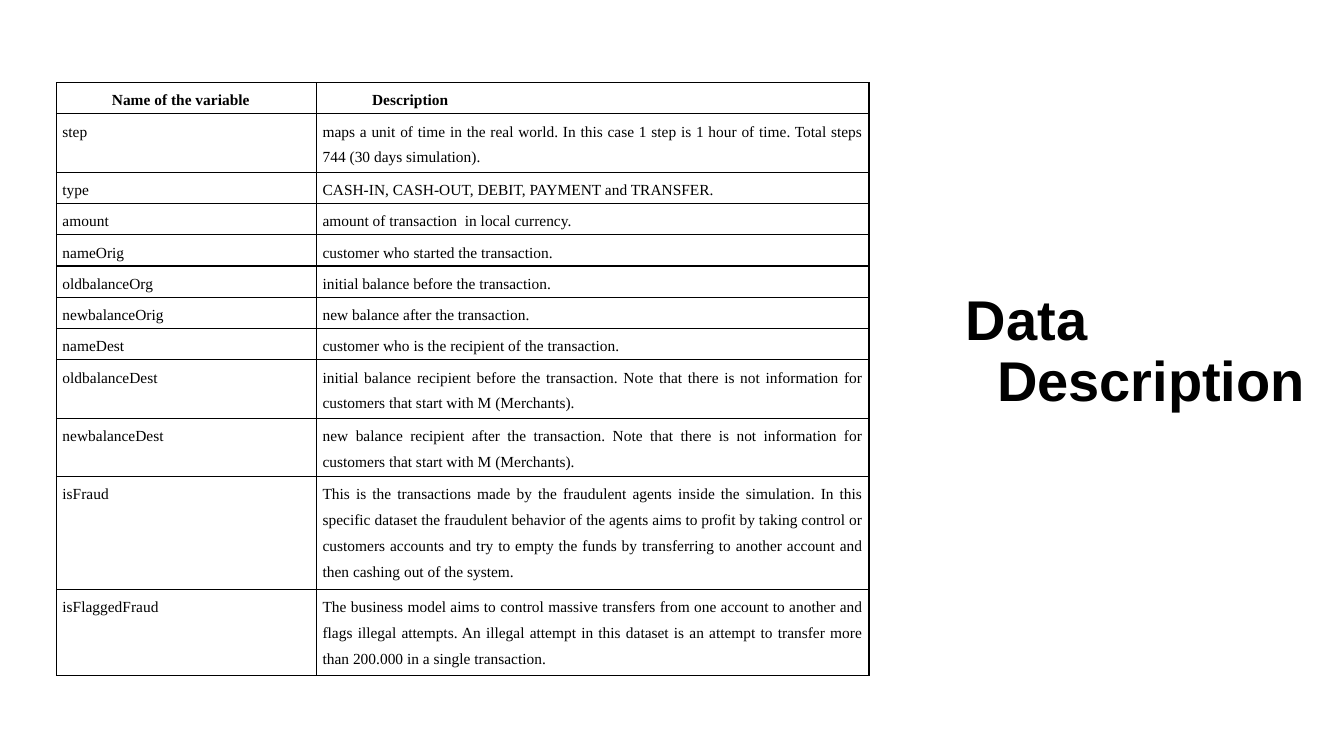
"""Build the Data Description slide: a table of variables beside a title."""
import pptx
import pptx.dml.color
import pptx.enum.text
import pptx.oxml
import pptx.oxml.ns
import pptx.util
from pptx.util import Inches

TITLE = "Data Description"
ROWS = [
    ("Name of the variable", "Description", 0.31),
    ("step", "maps a unit of time in the real world. In this case 1 step is 1 hour of time. "
     "Total steps 744 (30 days simulation).", 0.58),
    ("type", "CASH-IN, CASH-OUT, DEBIT, PAYMENT and TRANSFER.", 0.31),
    ("amount", "amount of transaction  in local currency.", 0.31),
    ("nameOrig", "customer who started the transaction.", 0.31),
    ("oldbalanceOrg", "initial balance before the transaction.", 0.31),
    ("newbalanceOrig", "new balance after the transaction.", 0.31),
    ("nameDest", "customer who is the recipient of the transaction.", 0.31),
    ("oldbalanceDest", "initial balance recipient before the transaction. Note that there is "
     "not information for customers that start with M (Merchants).", 0.58),
    ("newbalanceDest", "new balance recipient after the transaction. Note that there is "
     "not information for customers that start with M (Merchants).", 0.58),
    ("isFraud", "This is the transactions made by the fraudulent agents inside the simulation. "
     "In this specific dataset the fraudulent behavior of the agents aims to profit by taking "
     "control or customers accounts and try to empty the funds by transferring to another "
     "account and then cashing out of the system.", 1.12),
    ("isFlaggedFraud", "The business model aims to control massive transfers from one account "
     "to another and flags illegal attempts. An illegal attempt in this dataset is an attempt "
     "to transfer more than 200.000 in a single transaction.", 0.85),
]
WIDTHS = (2.58, 5.48)
COLORS = {"ink": "000000"}


def style(par, font, size, bold, align, lead, after, left=0, first=0):
    """Format one paragraph and its runs."""
    par.alignment = align
    par.line_spacing = lead
    par.space_before = pptx.util.Pt(0)
    par.space_after = pptx.util.Pt(after)
    props = par._p.get_or_add_pPr()
    props.set("marL", str(Inches(left)))
    props.set("indent", str(Inches(first)))
    for run in par.runs:
        run.font.name = font
        run.font.size = pptx.util.Pt(size)
        run.font.bold = bold
        run.font.color.rgb = pptx.dml.color.RGBColor.from_string(COLORS["ink"])


def border(cell):
    """Draw a thin line on each side of a cell."""
    props = cell._tc.get_or_add_tcPr()
    for side in ("lnL", "lnR", "lnT", "lnB"):
        props.append(pptx.oxml.parse_xml(
            f'<a:{side} {pptx.oxml.ns.nsdecls("a")} w="{pptx.util.Pt(1)}"><a:solidFill>'
            f'<a:srgbClr val="{COLORS["ink"]}"/></a:solidFill></a:{side}>'))


def add_title(slide):
    """Place the title at the right."""
    title = slide.shapes.title
    title.left, title.top = Inches(8.98), Inches(2.45)
    title.width, title.height = Inches(4.36), Inches(1.7)
    frame = title.text_frame
    frame.text = TITLE
    frame.word_wrap = True
    frame.auto_size = pptx.enum.text.MSO_AUTO_SIZE.NONE
    frame.vertical_anchor = pptx.enum.text.MSO_ANCHOR.BOTTOM
    style(frame.paragraphs[0], "Arial", 40, True, pptx.enum.text.PP_ALIGN.LEFT,
          0.9, 4, 0.81, -0.31)


def add_grid(slide):
    """Place the table of variables at the left."""
    high = sum(row[-1] for row in ROWS)
    grid = slide.shapes.add_table(len(ROWS), len(WIDTHS), Inches(0.56), Inches(0.82),
                                  Inches(sum(WIDTHS)), Inches(high)).table
    grid.first_row = grid.horz_banding = False
    for col, width in zip(grid.columns, WIDTHS):
        col.width = Inches(width)
    for r, (*texts, height) in enumerate(ROWS):
        grid.rows[r].height = Inches(height)
        head = r == 0
        for c, text in enumerate(texts):
            cell = grid.cell(r, c)
            cell.text_frame.text = text
            cell.margin_left = cell.margin_right = Inches(0.06)
            cell.margin_top, cell.margin_bottom = Inches(0.01), 0
            border(cell)
            cell.fill.background()
            style(cell.text_frame.paragraphs[0], "Times New Roman", 11, head,
                  pptx.enum.text.PP_ALIGN.JUSTIFY, 1.5, 6, first=0.49 if head else 0)


def main():
    """Build and save the deck."""
    deck = pptx.Presentation()
    deck.slide_width, deck.slide_height = Inches(13.33), Inches(7.5)
    slide = deck.slides.add_slide(deck.slide_layouts[5])
    add_title(slide)
    add_grid(slide)
    deck.save("out.pptx")


if __name__ == "__main__":
    main()
